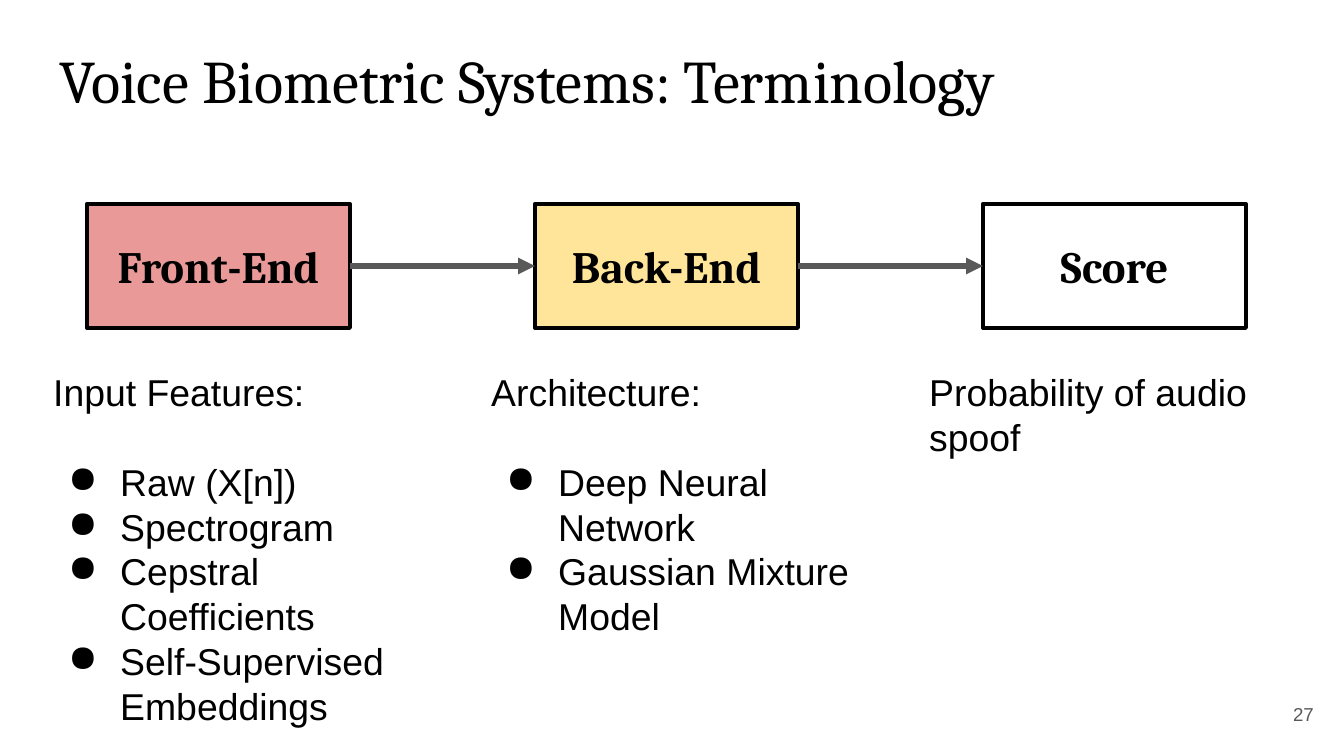
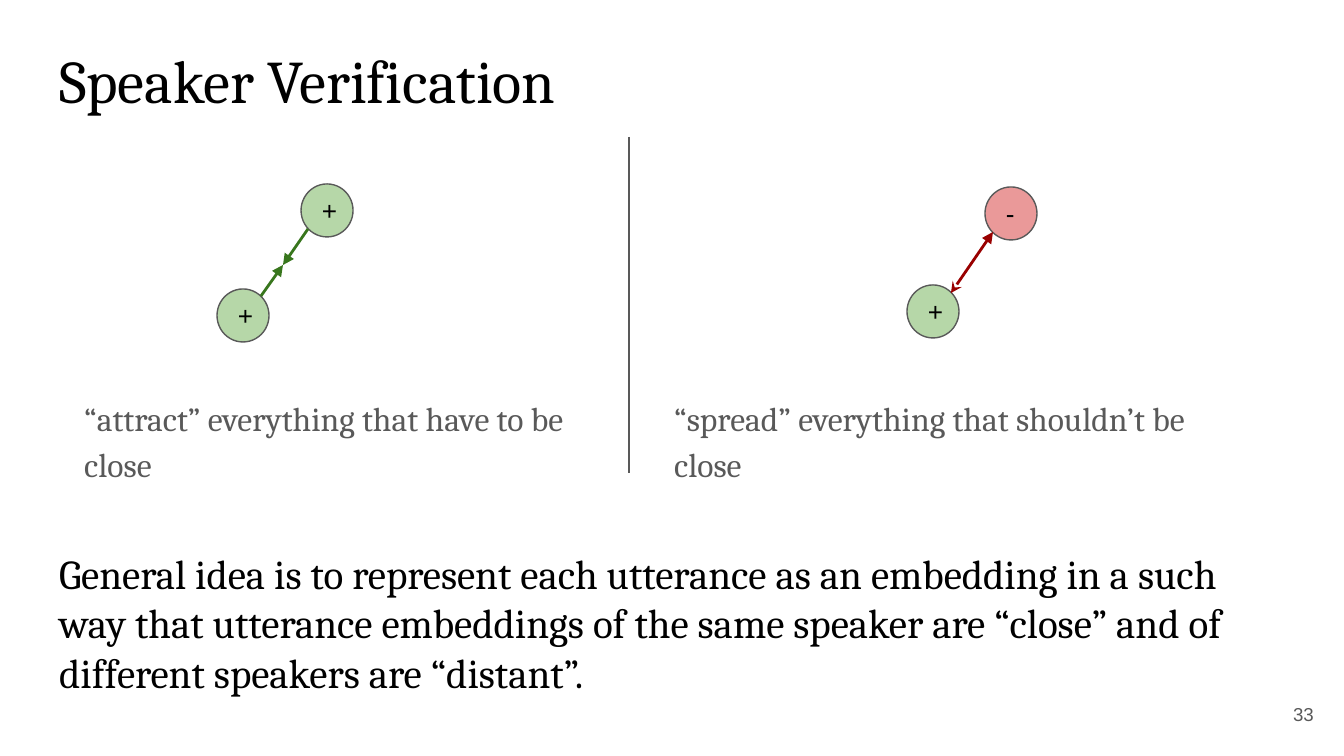
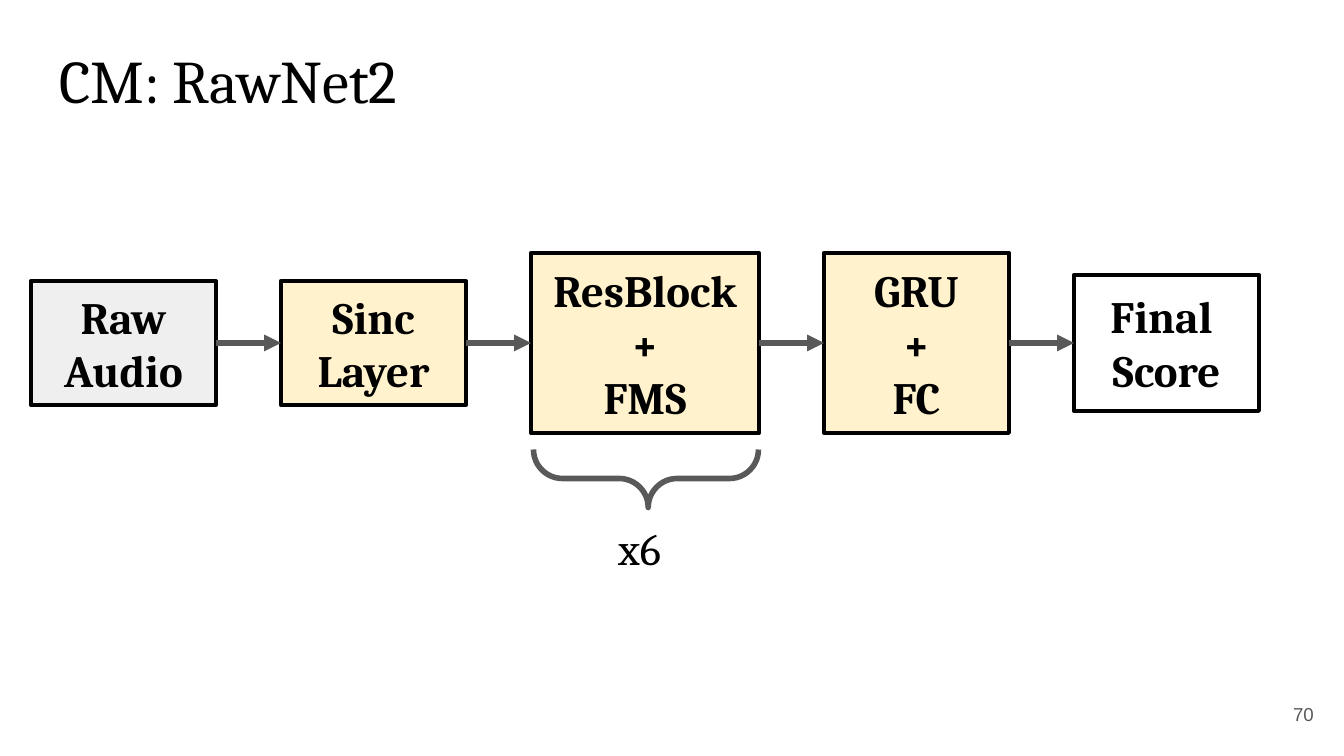
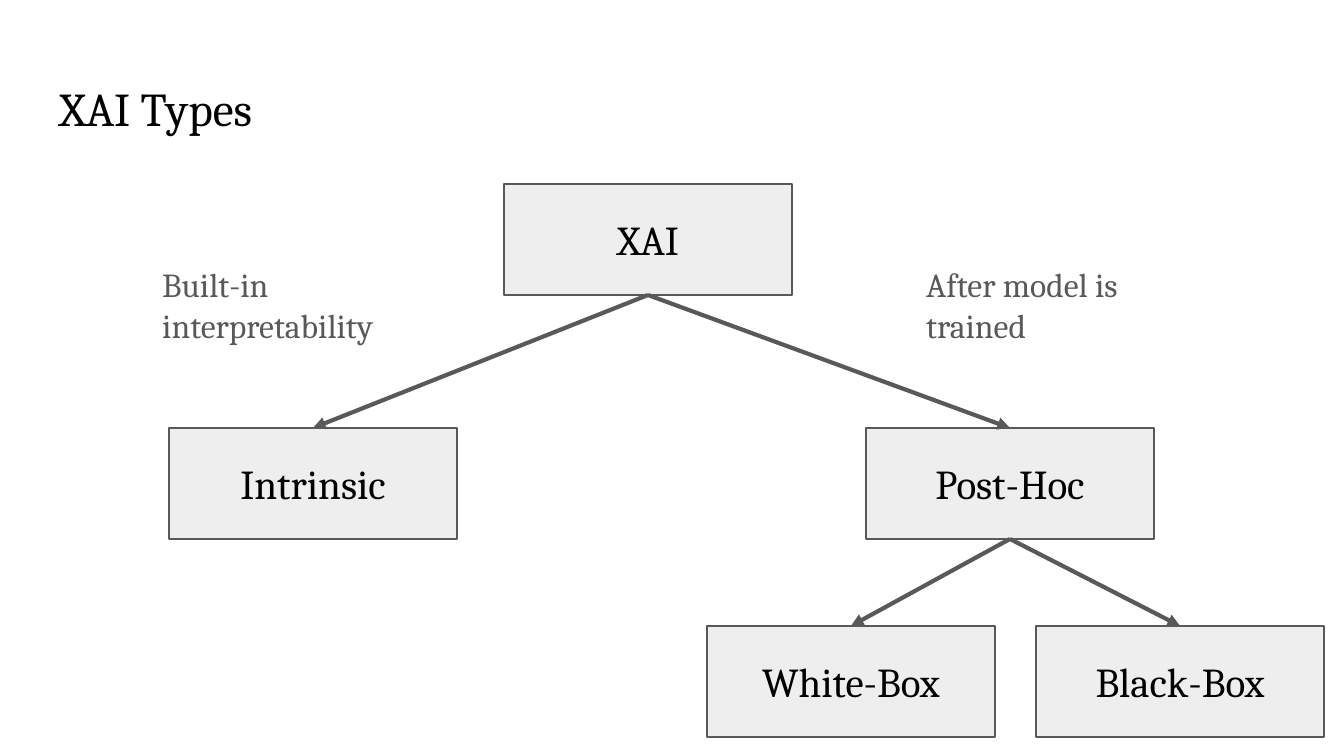
import pptx
import pptx.dml.color
import pptx.enum.shapes
import pptx.enum.text
import pptx.oxml
import pptx.oxml.ns
import pptx.util

PX = 914400 / 134.4  # EMU in one px
WIDTH, HEIGHT = 1344, 756
SERIF, SANS = "Cambria", "Arial"
COLORS = {
    "black": "000000", "white": "FFFFFF", "gray": "595959",
    "light": "EFEFEF", "pale": "EEEEEE", "red": "EA9999",
    "yellow": "FFE599", "cream": "FFF2CC", "green": "B6D7A8",
    "dark green": "38761D", "dark red": "990000",
}
RGB = {name: pptx.dml.color.RGBColor.from_string(c) for name, c in COLORS.items()}
SHAPE = pptx.enum.shapes.MSO_SHAPE
STRAIGHT = pptx.enum.shapes.MSO_CONNECTOR.STRAIGHT
ALIGN = pptx.enum.text.PP_ALIGN
ANCHOR = pptx.enum.text.MSO_ANCHOR
TOP, LEFT, BOTTOM, RIGHT = range(4)
A = pptx.oxml.ns.nsdecls("a")


def add_box(s, box, lines, size, kind=None, fill=None, line="black", weight=2.25,
            font=SERIF, color="black", bold=False, align=ALIGN.LEFT,
            anchor=None, bullets=()):
    """Add a shape of the given kind, or a text box if there is none, with its text."""
    x, y, w, h = (round(v * PX) for v in box)
    if kind is None:
        sp = s.shapes.add_textbox(x, y, w, h)
    else:
        sp = s.shapes.add_shape(kind, x, y, w, h)
        sp.shadow.inherit = False
        if fill:
            sp.fill.solid()
            sp.fill.fore_color.rgb = RGB[fill]
        else:
            sp.fill.background()
        sp.line.color.rgb = RGB[line]
        sp.line.width = pptx.util.Pt(weight)
        sp.line._get_or_add_ln().append(pptx.oxml.parse_xml(f"<a:round {A}/>"))
    tf = sp.text_frame
    tf.word_wrap = True
    tf.vertical_anchor = anchor or (ANCHOR.MIDDLE if kind else ANCHOR.TOP)
    tf.margin_left = tf.margin_right = tf.margin_top = tf.margin_bottom = pptx.util.Inches(0.1)
    for i, text in enumerate([*lines, *bullets]):
        p = tf.paragraphs[0] if i == 0 else tf.add_paragraph()
        p.alignment = align
        if i >= len(lines):
            pPr = p._p.get_or_add_pPr()
            pPr.set("marL", str(round(67 * PX)))
            pPr.set("indent", str(round(-52 * PX)))
            pPr.append(pptx.oxml.parse_xml(
                f'<a:buClr {A}><a:srgbClr val="{COLORS[color]}"/></a:buClr>'))
            pPr.append(pptx.oxml.parse_xml(f'<a:buChar {A} char="●"/>'))
            if i == len(lines):
                p.space_before = pptx.util.Pt(24)
        r = p.add_run()
        r.text = text
        r.font.name = font
        r.font.size = pptx.util.Pt(size)
        r.font.bold = bold
        r.font.color.rgb = RGB[color]
    return sp


def add_line(s, points=(0, 0, 0, 0), joins=(), color="gray", weight=3,
             head=None, tail="triangle"):
    """Draw a line between two points, or between two (shape, side) joins."""
    c = s.shapes.add_connector(STRAIGHT, *(round(v * PX) for v in points))
    if joins:
        c.begin_connect(*joins[0])
        c.end_connect(*joins[1])
    c.line.color.rgb = RGB[color]
    c.line.width = pptx.util.Pt(weight)
    ln = c.line._get_or_add_ln()
    for tag, end in (("headEnd", head), ("tailEnd", tail)):
        if end:
            ln.append(pptx.oxml.parse_xml(f'<a:{tag} {A} type="{end}"/>'))
    c._element.spPr.append(pptx.oxml.parse_xml(f"<a:effectLst {A}/>"))


prs = pptx.Presentation()
prs.slide_width = round(WIDTH * PX)
prs.slide_height = round(HEIGHT * PX)

# Titles and page numbers
slides = []
for title, top, size, number in [
    ("Voice Biometric Systems: Terminology", 30, 32.4, "27"),
    ("Speaker Verification", 30, 32.4, "33"),
    ("CM: RawNet2", 30, 32.4, "70"),
    ("XAI Types", 66, 25.2, None),
]:
    s = prs.slides.add_slide(prs.slide_layouts[6])
    s.background.fill.solid()
    s.background.fill.fore_color.rgb = RGB["white"]
    add_box(s, (46, top, 1252, 85), [title], size)
    if number:
        add_box(s, (1246, 685, 81, 58), [number], 10, font=SANS, color="gray",
                align=ALIGN.RIGHT, anchor=ANCHOR.MIDDLE)
    slides.append(s)
terms, verification, rawnet, xai = slides

# Terminology: three stages with notes below
previous = None
for i, (stage, fill, note, bullets) in enumerate([
    ("Front-End", "red", "Input Features:",
     ["Raw (X[n])", "Spectrogram", "Cepstral Coefficients", "Self-Supervised Embeddings"]),
    ("Back-End", "yellow", "Architecture:",
     ["Deep Neural Network", "Gaussian Mixture Model"]),
    ("Score", "white", "Probability of audio spoof", []),
]):
    sp = add_box(terms, (87 + 448 * i, 204, 263, 124), [stage], 24, SHAPE.RECTANGLE,
                 fill, bold=True, align=ALIGN.CENTER)
    add_box(terms, (40 + 438 * i, 356, 409, 358), [note], 20, font=SANS, bullets=bullets)
    if previous:
        add_line(terms, joins=((previous, RIGHT), (sp, LEFT)))
    previous = sp

# Speaker verification: attracted and spread pairs
add_box(verification, (46, 535, 1224, 188),
        ["General idea is to represent each utterance as an embedding in a such way that "
         "utterance embeddings of the same speaker are “close” and of different speakers "
         "are “distant”."], 22)
for x, y, sign, fill in [(301, 184, "+", "green"), (217, 289, "+", "green"),
                         (985, 187, "-", "red"), (907, 285, "+", "green")]:
    add_box(verification, (x, y, 52, 53), [sign], 14, SHAPE.OVAL, fill, "gray", 0.75, SANS)
add_line(verification, (261, 296, 283, 265), color="dark green", weight=1.5)
add_line(verification, (308, 229, 283, 265), color="dark green", weight=1.5)
add_line(verification, (951, 293, 993, 232), color="dark red", weight=1.5, head="stealth")
add_line(verification, (629, 137, 629, 473), weight=0.75, tail=None)
for x, text in [(71, "“attract” everything that have to be close"),
                (661, "“spread” everything that shouldn’t be close")]:
    sp = add_box(verification, (x, 378, 544, 112), [text], 18, color="gray")
    p = sp.text_frame.paragraphs[0]
    p.line_spacing = 1.15
    p.space_after = pptx.util.Pt(16)

# RawNet2: chain of blocks around one centre line
x, middle, gap = 31, 343, 65
previous = None
for lines, w, h, fill in [
    (["Raw", "Audio"], 185, 124, "light"),
    (["Sinc", "Layer"], 185, 124, "cream"),
    (["ResBlock", "+", "FMS"], 228, 180, "cream"),
    (["GRU", "+", "FC"], 185, 180, "cream"),
    (["Final ", "Score"], 185, 136, "white"),
]:
    sp = add_box(rawnet, (x, middle - h // 2, w, h), lines, 24, SHAPE.RECTANGLE, fill,
                 bold=True, align=ALIGN.CENTER)
    if previous:
        add_line(rawnet, joins=((previous, RIGHT), (sp, LEFT)))
    previous = sp
    x += w + gap
brace = add_box(rawnet, (617, 366, 58, 225), [], 24, SHAPE.LEFT_BRACE, line="gray", weight=3)
brace.rotation = 270
brace.adjustments[0] = 0.5
brace.adjustments[1] = 0.51
add_box(rawnet, (605, 507, 81, 82), ["x6"], 24)

# XAI types: tree
nodes = {}
for name, x, y, parent in [
    ("XAI", 504, 184, None),
    ("Intrinsic", 169, 428, "XAI"),
    ("Post-Hoc", 866, 428, "XAI"),
    ("White-Box", 707, 626, "Post-Hoc"),
    ("Black-Box", 1036, 626, "Post-Hoc"),
]:
    nodes[name] = add_box(xai, (x, y, 288, 111), [name], 22, SHAPE.RECTANGLE, "pale",
                          "gray", 0.75, align=ALIGN.CENTER)
    if parent:
        add_line(xai, joins=((nodes[parent], BOTTOM), (nodes[name], TOP)), weight=2.25)
for x, text in [(149, "Built-in interpretability"), (913, "After model is trained")]:
    add_box(xai, (x, 251, 266, 118), [text], 18, color="gray")

prs.save("out.pptx")
